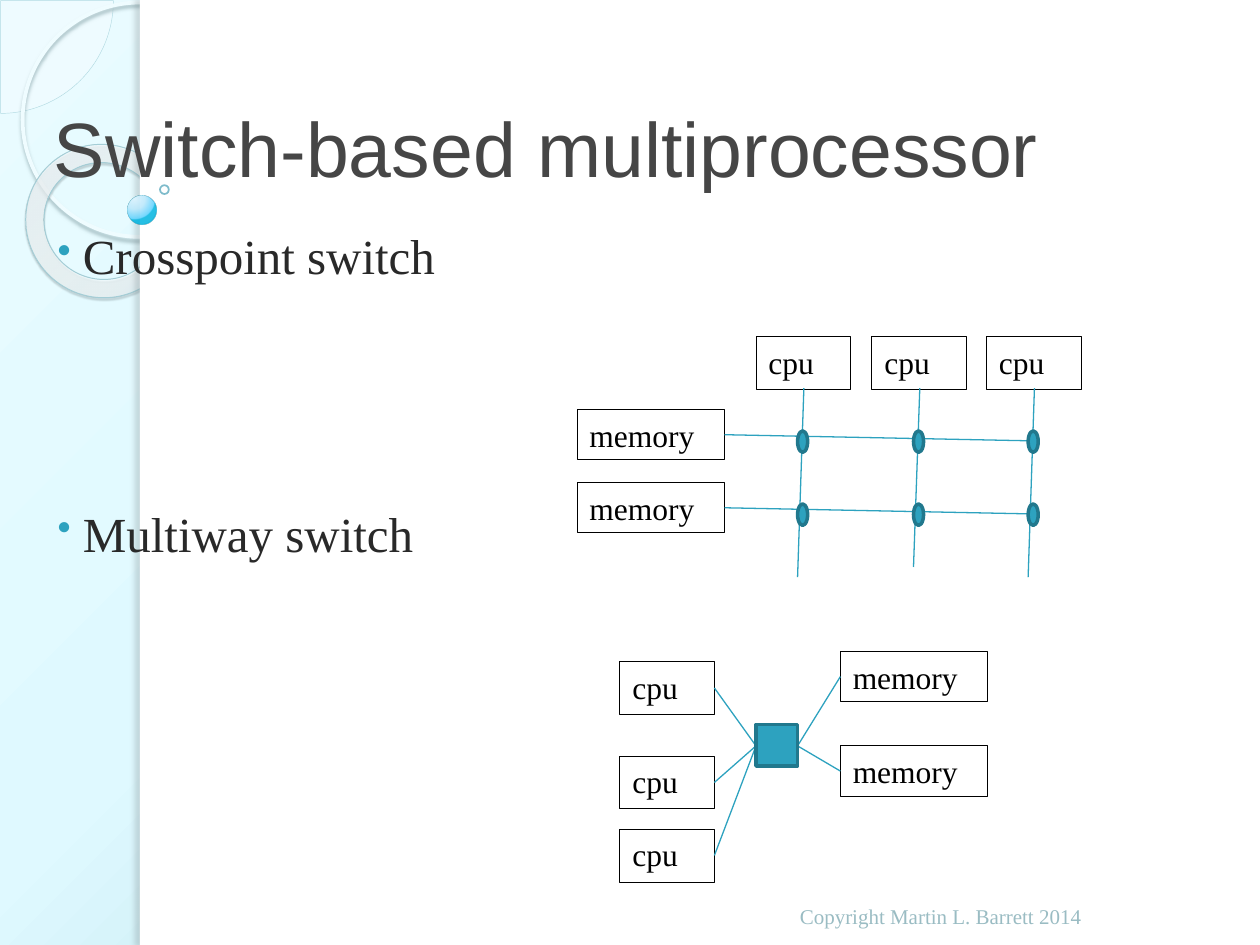
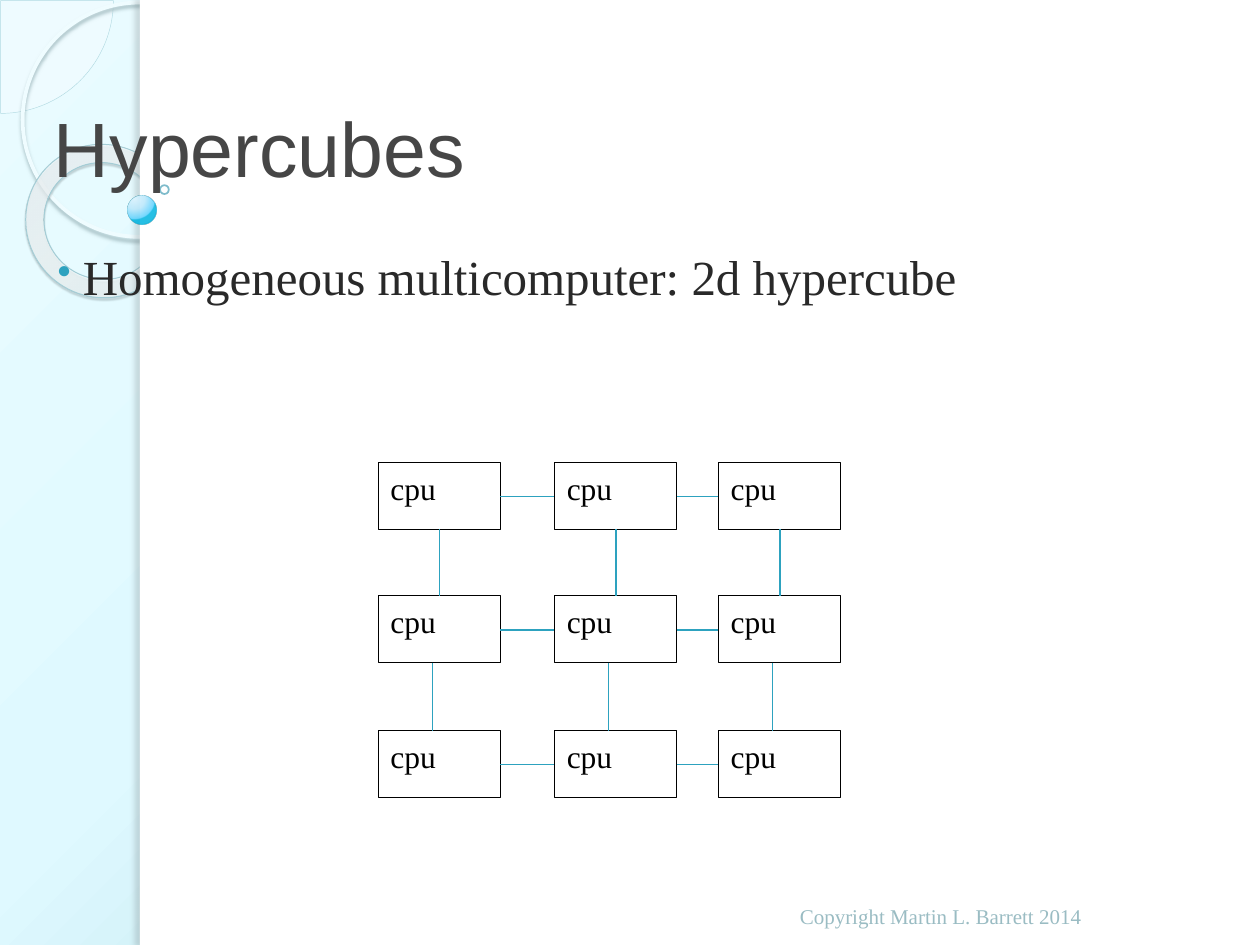
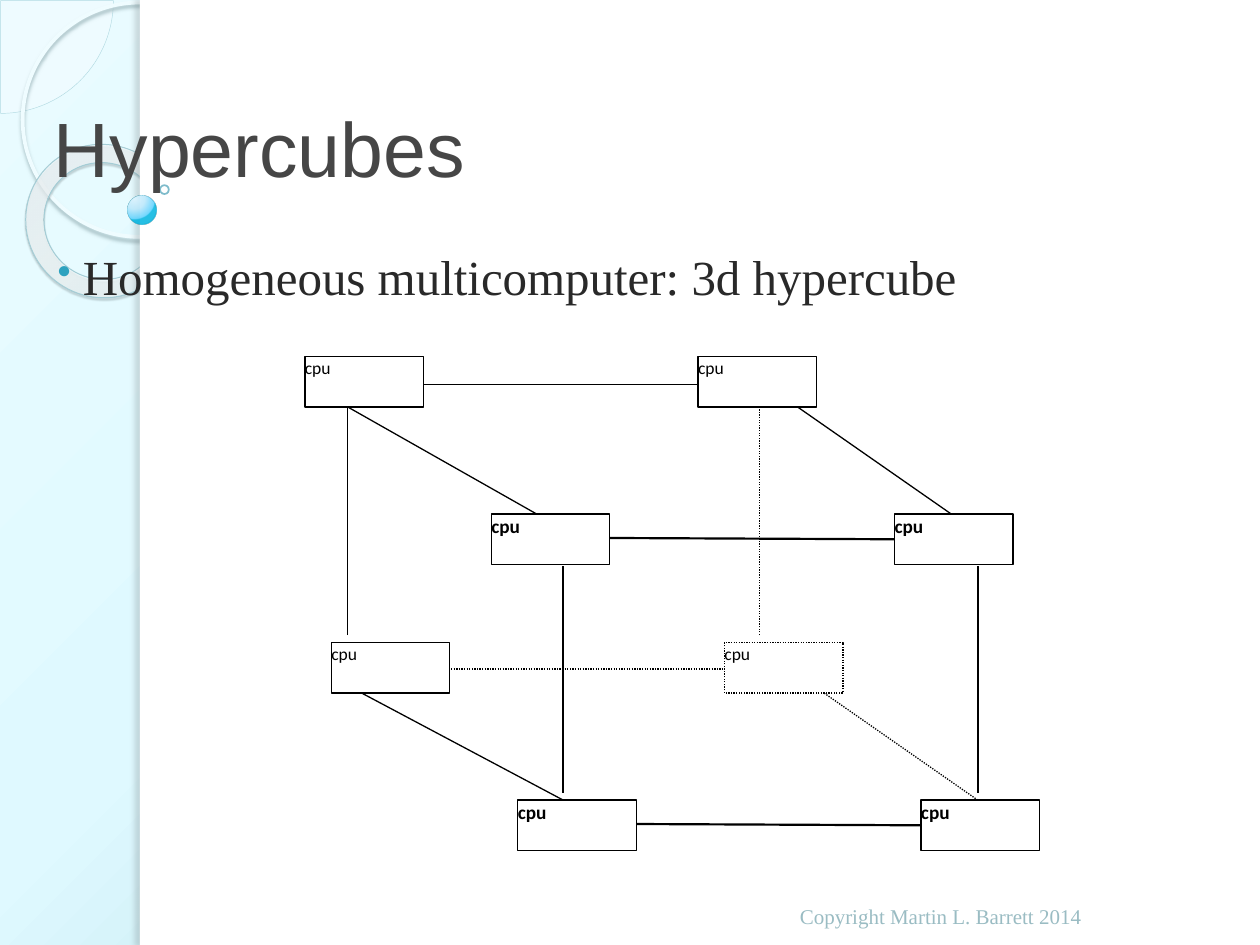
"""Three slides on multiprocessor switches and hypercubes."""
from lxml import etree
from pptx import Presentation
from pptx.dml.color import RGBColor
from pptx.enum.dml import MSO_LINE
from pptx.enum.shapes import MSO_CONNECTOR, MSO_SHAPE
from pptx.enum.text import MSO_ANCHOR, PP_ALIGN
from pptx.oxml import parse_xml
from pptx.oxml.ns import nsdecls, qn
from pptx.util import Pt

PX = 9144
RECT, OVAL = MSO_SHAPE.RECTANGLE, MSO_SHAPE.OVAL
PIE, DONUT = MSO_SHAPE.PIE, MSO_SHAPE.DONUT
STRAIGHT = MSO_CONNECTOR.STRAIGHT
DOTTED = MSO_LINE.ROUND_DOT
TOP, BOTTOM = MSO_ANCHOR.TOP, MSO_ANCHOR.BOTTOM
LEFT = PP_ALIGN.LEFT

COLORS = {
    "black": "000000", "white": "FFFFFF", "accent": "2DA2BF", "accent_dark": "21788D",
    "title": "464646", "body": "292929", "footer": "9ABCC3",
    "sky_1": "E9FBFF", "sky_2": "DFF9FF", "sky_3": "96CBD6",
    "pie": "F9FEFF", "pie_line": "B2DAE2",
    "ring": "EFFCFF", "ring_shadow": "9FB9BE",
    "donut_2": "FDFFFF", "donut_3": "A3EEFE", "donut_line": "A4CDD6", "donut_shadow": "4C5D61",
    "panel_shadow": "6E7A7D",
    "ball_1": "DDF4FF", "ball_2": "BDE9FC", "ball_3": "61D3FF", "ball_4": "00B5E1",
    "ball_line": "249FBD", "bubble_line": "288FA9",
}
GRADIENTS = {
    "sky": ([(0, "sky_1", 100), (40, "sky_2", 100), (100, "sky_3", 100)], (-24, -20, 124, 120)),
    "donut": ([(0, "pie", 70), (70, "donut_2", 55), (100, "donut_3", 60)], (-408, -50, 508, 150)),
    "ball": ([(0, "ball_1", 95), (50, "ball_2", 90), (95, "ball_3", 88), (100, "ball_4", 85)],
             (25, 12, 75, 88)),
}
TITLE = {"name": "Arial", "size": Pt(44)}
BODY = {"name": "Times New Roman", "size": Pt(28)}
LABEL = {"name": "Times New Roman", "size": Pt(18)}
FOOTER = {"name": "Times New Roman", "size": Pt(12)}
BACK_NODE = {"name": "Calibri", "size": Pt(10)}
FRONT_NODE = {"name": "Calibri", "size": Pt(11), "bold": True}

DECOR = [
    {"kind": PIE, "box": (-89, -89, 179, 179), "fill": "pie", "alpha": 33,
     "line": "pie_line", "width": 0.25, "adj": (0, 54.02)},
    {"kind": OVAL, "box": (18, 2, 186, 186), "line": "ring", "width": 2.15,
     "shadow": ("ring_shadow", 85, 2, 2, 90)},
    {"kind": DONUT, "box": (20, 115, 123, 121), "fill": "donut", "line": "donut_line",
     "width": 0.58, "shadow": ("donut_shadow", 35, 1, 1.2, 75), "rot": 38.6, "adj": (0.12,)},
    {"kind": RECT, "box": (111, 0, 889, 750), "fill": "white"},
    {"kind": RECT, "box": (111, 0, 8, 750), "fill": "white",
     "shadow": ("panel_shadow", 25, 3, 3, 180)},
    {"kind": OVAL, "box": (101, 155, 23, 23), "fill": "ball", "line": "ball_line",
     "width": 0.16, "line_alpha": 60},
    {"kind": OVAL, "box": (127, 147, 7, 7), "line": "bubble_line", "width": 1, "line_alpha": 60},
]
SLIDES = [
    ("Switch-based multiprocessor", (33, 175, 900, 533), ["Crosspoint switch", "Multiway switch"]),
    ("Hypercubes", (33, 192, 900, 517), ["Homogeneous multicomputer: 2d hypercube"]),
    ("Hypercubes", (33, 192, 900, 517), ["Homogeneous multicomputer: 3d hypercube"]),
]


def add_box(s, kind, box, fill=None, line=None, width=0.5, texts=(), fmt=LABEL,
            color="black", anchor=TOP, inset=(10, 5, 10, 5)):
    pos = [v * PX for v in box]
    sp = s.shapes.add_shape(kind, *pos) if kind else s.shapes.add_textbox(*pos)
    sp.shadow.inherit = False
    if fill:
        sp.fill.solid()
        sp.fill.fore_color.rgb = RGBColor.from_string(COLORS[fill])
    else:
        sp.fill.background()
    if line:
        sp.line.color.rgb = RGBColor.from_string(COLORS[line])
        sp.line.width = Pt(width)
    else:
        sp.line.fill.background()
    tf = sp.text_frame
    tf.word_wrap = True
    tf.vertical_anchor = anchor
    tf.margin_left, tf.margin_top, tf.margin_right, tf.margin_bottom = [v * PX for v in inset]
    for i, text in enumerate(texts):
        p = tf.add_paragraph() if i else tf.paragraphs[0]
        p.alignment = LEFT
        r = p.add_run()
        r.text = text
        r.font.color.rgb = RGBColor.from_string(COLORS[color])
        for key, value in fmt.items():
            setattr(r.font, key, value)
    return sp


def add_line(s, x1, y1, x2, y2, color="accent", width=0.75, dash=None):
    c = s.shapes.add_connector(STRAIGHT, x1 * PX, y1 * PX, x2 * PX, y2 * PX)
    c.line.color.rgb = RGBColor.from_string(COLORS[color])
    c.line.width = Pt(width)
    if dash:
        c.line.dash_style = dash
    etree.SubElement(c.element.spPr, qn("a:effectLst"))


prs = Presentation()
prs.slide_width, prs.slide_height = 1000 * PX, 750 * PX

grad_xml = {}
for name, (stops, to) in GRADIENTS.items():
    gs = "".join(
        f'<a:gs pos="{pos * 1000}"><a:srgbClr val="{COLORS[c]}"><a:alpha val="{a * 1000}"/>'
        "</a:srgbClr></a:gs>" for pos, c, a in stops)
    rect = " ".join(f'{side}="{v * 1000}"' for side, v in zip("ltrb", to))
    grad_xml[name] = (
        f'<a:gradFill {nsdecls("a")} rotWithShape="1"><a:gsLst>{gs}</a:gsLst>'
        f'<a:path path="circle"><a:fillToRect {rect}/></a:path></a:gradFill>')

master = prs.slide_master
master.background.fill.solid()
bg = master.element.xpath(".//p:bgPr")[0]
bg.replace(bg[0], parse_xml(grad_xml["sky"]))

groups = []
for title, body_box, points in SLIDES:
    s = prs.slides.add_slide(prs.slide_layouts[6])
    for d in DECOR:
        fill = d.get("fill")
        grad = grad_xml.get(fill)
        sp = add_box(s, d["kind"], d["box"], "white" if grad else fill,
                     d.get("line"), d.get("width", 0))
        sp.rotation = d.get("rot", 0)
        for i, value in enumerate(d.get("adj", ())):
            sp.adjustments[i] = value
        spPr = sp.element.spPr
        if grad:
            spPr.replace(spPr.find(qn("a:solidFill")), parse_xml(grad))
        for key, tag in (("alpha", "a:solidFill"), ("line_alpha", "a:ln/a:solidFill")):
            if key in d:
                clr = spPr.xpath(f"./{tag}/a:srgbClr")[0]
                etree.SubElement(clr, qn("a:alpha"), val=str(d[key] * 1000))
        if "shadow" in d:
            c, alpha, blur, dist, angle = d["shadow"]
            spPr.find(qn("a:effectLst")).append(parse_xml(
                f'<a:outerShdw {nsdecls("a")} blurRad="{Pt(blur)}" dist="{Pt(dist)}" '
                f'dir="{angle * 60000}" algn="tl" rotWithShape="0">'
                f'<a:srgbClr val="{COLORS[c]}"><a:alpha val="{alpha * 1000}"/></a:srgbClr>'
                "</a:outerShdw>"))
    add_box(s, None, (33, 50, 900, 108), texts=[title], fmt=TITLE, color="title", anchor=BOTTOM)
    sp = add_box(s, None, body_box, texts=points, fmt=BODY, color="body", inset=(10, 4, 10, 5))
    for i, p in enumerate(sp.text_frame.paragraphs):
        if i:
            p.space_before = Pt(125)
        pPr = p._p.get_or_add_pPr()
        pPr.set("marL", str(23 * PX))
        pPr.set("indent", str(-20 * PX))
        clr = etree.SubElement(pPr, qn("a:buClr"))
        etree.SubElement(clr, qn("a:srgbClr"), val=COLORS["accent"])
        etree.SubElement(pPr, qn("a:buSzPct"), val="80000")
        etree.SubElement(pPr, qn("a:buChar"), char="•")
    add_box(s, None, (625, 690, 317, 52), texts=["Copyright Martin L. Barrett 2014"],
            fmt=FOOTER, color="footer", anchor=BOTTOM)
    groups.append(s.shapes.add_group_shape())

crosspoint, grid, cube = groups
multiway = prs.slides[0].shapes.add_group_shape()

cpu_xs, memory_ys = (600, 692, 783), (325, 383)
for x, bottom in zip(cpu_xs, (458, 450, 458)):
    add_box(crosspoint, RECT, (x, 267, 75, 42), line="black", texts=["cpu"])
    add_line(crosspoint, x + 38, 308, x + 33, bottom)
for y in memory_ys:
    add_box(crosspoint, RECT, (458, y, 117, 40), line="black", texts=["memory"])
    add_line(crosspoint, 575, y + 20, 825, y + 25)
for y in memory_ys:
    for x in cpu_xs:
        add_box(crosspoint, OVAL, (x + 33, y + 17, 8, 17), "accent", "accent_dark", 2)

for y in (525, 600, 658):
    add_box(multiway, RECT, (492, y, 75, 42), line="black", texts=["cpu"])
    add_line(multiway, 567, y + 21, 600, 592)
for y in (517, 592):
    add_box(multiway, RECT, (667, y, 117, 40), line="black", texts=["memory"])
    add_line(multiway, 633, 592, 667, y + 20)
add_box(multiway, RECT, (600, 575, 33, 33), "accent", "accent_dark", 2)

xs, ys = (300, 440, 570), (367, 473, 580)
for y in ys:
    for x in xs:
        add_box(grid, RECT, (x, y, 97, 53), line="black", texts=["cpu"])
    for x, next_x in zip(xs, xs[1:]):
        add_line(grid, x + 97, y + 27, next_x, y + 27)
for y, next_y, dx in zip(ys, ys[1:], (49, 43)):
    for x in xs:
        add_line(grid, x + dx, y + 53, x + dx, next_y)

EDGES = [
    (603, 504, 603, 323, 0.75, DOTTED), (276, 504, 276, 323, 0.75, None),
    (447, 629, 447, 449, 1.25, None), (776, 629, 776, 449, 1.25, None),
    (356, 531, 575, 531, 0.75, DOTTED), (776, 635, 654, 550, 0.75, DOTTED),
    (447, 635, 287, 550, 0.75, None), (505, 654, 731, 655, 1.25, None),
    (336, 305, 554, 305, 0.75, None), (755, 408, 633, 323, 0.75, None),
    (426, 408, 276, 323, 0.75, None), (484, 427, 710, 428, 1.25, None),
]
for x1, y1, x2, y2, width, dash in EDGES:
    add_line(cube, x1, y1, x2, y2, "black", width, dash)
for dx, dy in ((21, 227), (0, 0)):
    for x, y, fmt in ((242, 283, BACK_NODE), (554, 283, BACK_NODE),
                      (390, 408, FRONT_NODE), (710, 408, FRONT_NODE)):
        sp = add_box(cube, RECT, (x + dx, y + dy, 94, 40), "white", "black", 0.75,
                     ["cpu"], fmt, inset=(0, 0, 0, 0))
        if dx and (x, y) == (554, 283):
            sp.line.dash_style = DOTTED

prs.save("out.pptx")
